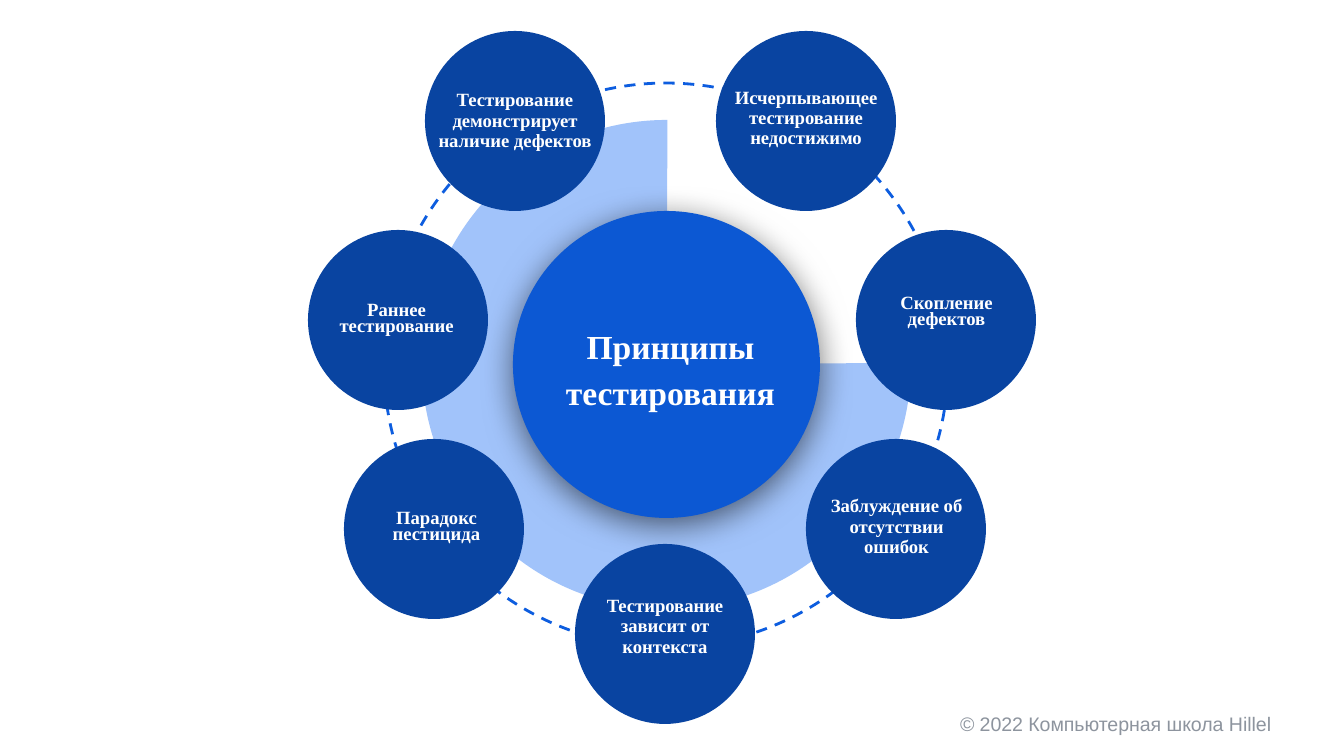
"""Builds a slide with seven testing principles set around a central circle."""
from dataclasses import dataclass

import pptx
import pptx.dml.color
import pptx.enum.dml
import pptx.enum.shapes
import pptx.enum.text
import pptx.oxml
import pptx.oxml.ns
import pptx.util

SHAPE = pptx.enum.shapes.MSO_SHAPE
ALIGN = pptx.enum.text.PP_ALIGN
ANCHOR = pptx.enum.text.MSO_ANCHOR
EMU_PER_PX = 914400 / 134.4
INSET = 12
CIRCLE = 180


@dataclass(frozen=True)
class Theme:
    white: str = "FFFFFF"
    ring: str = "0D5DDF"
    pie: str = "A1C3FA"
    core: str = "0C58D3"
    circle: str = "0944A1"
    footer: str = "8D949E"
    serif: str = "Times New Roman"
    sans: str = "Arial"
    core_size: float = 18
    label_size: float = 10
    footer_size: float = 10.5


THEME = Theme()

# circle left and top, label box, line spacing, left indent, label
PRINCIPLES = [
    ((308, 230), (316, 258, 161, 124), 0.7, 0, "Раннее тестирование"),
    ((575, 544), (575, 547, 180, 160), 0.9, 0, "Тестирование зависит от контекста"),
    ((344, 439), (372, 458, 129, 140), 0.7, 0, "Парадокс пестицида"),
    ((806, 439), (782, 465, 195, 124), 0.9, 34, "Заблуждение об отсутствии ошибок"),
    ((716, 31), (716, 43, 180, 151), 0.9, 0, "Исчерпывающее тестирование недостижимо"),
    ((856, 230), (882, 243, 129, 140), 0.7, 0, "Скопление дефектов"),
    ((425, 31), (425, 59, 180, 124), 0.9, 0, "Тестирование демонстрирует наличие дефектов"),
]


def px(n):
    return pptx.util.Emu(round(n * EMU_PER_PX))


def rgb(color):
    return pptx.dml.color.RGBColor.from_string(color)


def add_round(shapes, kind, left, top, size, fill=None):
    sp = shapes.add_shape(kind, px(left), px(top), px(size), px(size))
    sp.shadow.inherit = False
    sp.line.fill.background()
    if fill:
        sp.fill.solid()
        sp.fill.fore_color.rgb = rgb(fill)
    else:
        sp.fill.background()
    return sp


def add_ring(shapes):
    sp = add_round(shapes, SHAPE.OVAL, 384, 83, 564)
    sp.rotation = 270
    sp.line.color.rgb = rgb(THEME.ring)
    sp.line.width = pptx.util.Pt(1.5)
    sp.line.dash_style = pptx.enum.dml.MSO_LINE.DASH


def add_pie(shapes):
    sp = add_round(shapes, SHAPE.PIE, 422, 120, 489, THEME.pie)
    for i, degrees in enumerate((359.62, 270.25)):
        sp.adjustments[i] = degrees * 0.6


def add_glow_shadow(sp):
    effects = sp._element.spPr.find(pptx.oxml.ns.qn("a:effectLst"))
    effects.append(pptx.oxml.parse_xml(
        f'<a:outerShdw {pptx.oxml.ns.nsdecls("a")} blurRad="{pptx.util.Pt(18)}" '
        f'dist="{pptx.util.Pt(4)}" dir="5400000" algn="bl" rotWithShape="0">'
        '<a:srgbClr val="000000"><a:alpha val="55000"/></a:srgbClr></a:outerShdw>'))


def add_text(shapes, box, text, font, size, color, bold=False,
             align=ALIGN.CENTER, anchor=ANCHOR.MIDDLE, spacing=1.0, indent=0):
    tf = shapes.add_textbox(*map(px, box)).text_frame
    tf.word_wrap = True
    tf.vertical_anchor = anchor
    tf.margin_left = tf.margin_right = tf.margin_top = tf.margin_bottom = px(INSET)
    p = tf.paragraphs[0]
    p.alignment = align
    p.line_spacing = spacing
    if indent:
        pPr = p._p.get_or_add_pPr()
        pPr.set("marL", str(px(indent)))
        pPr.set("indent", "0")
    r = p.add_run()
    r.text = text
    r.font.name = font
    r.font.size = pptx.util.Pt(size)
    r.font.bold = bold
    r.font.color.rgb = rgb(color)


def add_core(shapes):
    add_glow_shadow(add_round(shapes, SHAPE.OVAL, 513, 211, 307, THEME.core))
    add_text(shapes, (536, 296, 269, 140), "Принципы тестирования", THEME.serif,
             THEME.core_size, THEME.white, bold=True, spacing=1.15)


def add_principle(shapes, corner, box, spacing, indent, label):
    add_round(shapes, SHAPE.OVAL, *corner, CIRCLE, THEME.circle)
    add_text(shapes, box, label, THEME.serif, THEME.label_size, THEME.white,
             bold=True, spacing=spacing, indent=indent)


def main():
    prs = pptx.Presentation()
    prs.slide_width, prs.slide_height = px(1344), px(756)
    s = prs.slides.add_slide(prs.slide_layouts[6])
    add_text(s.shapes, (948, 700, 359, 51), "© 2022 Компьютерная школа Hillel",
             THEME.sans, THEME.footer_size, THEME.footer,
             align=ALIGN.LEFT, anchor=ANCHOR.TOP)
    diagram = s.shapes.add_group_shape().shapes
    add_ring(diagram)
    add_pie(diagram)
    add_core(diagram)
    for principle in PRINCIPLES:
        add_principle(diagram, *principle)
    prs.save("out.pptx")


if __name__ == "__main__":
    main()
